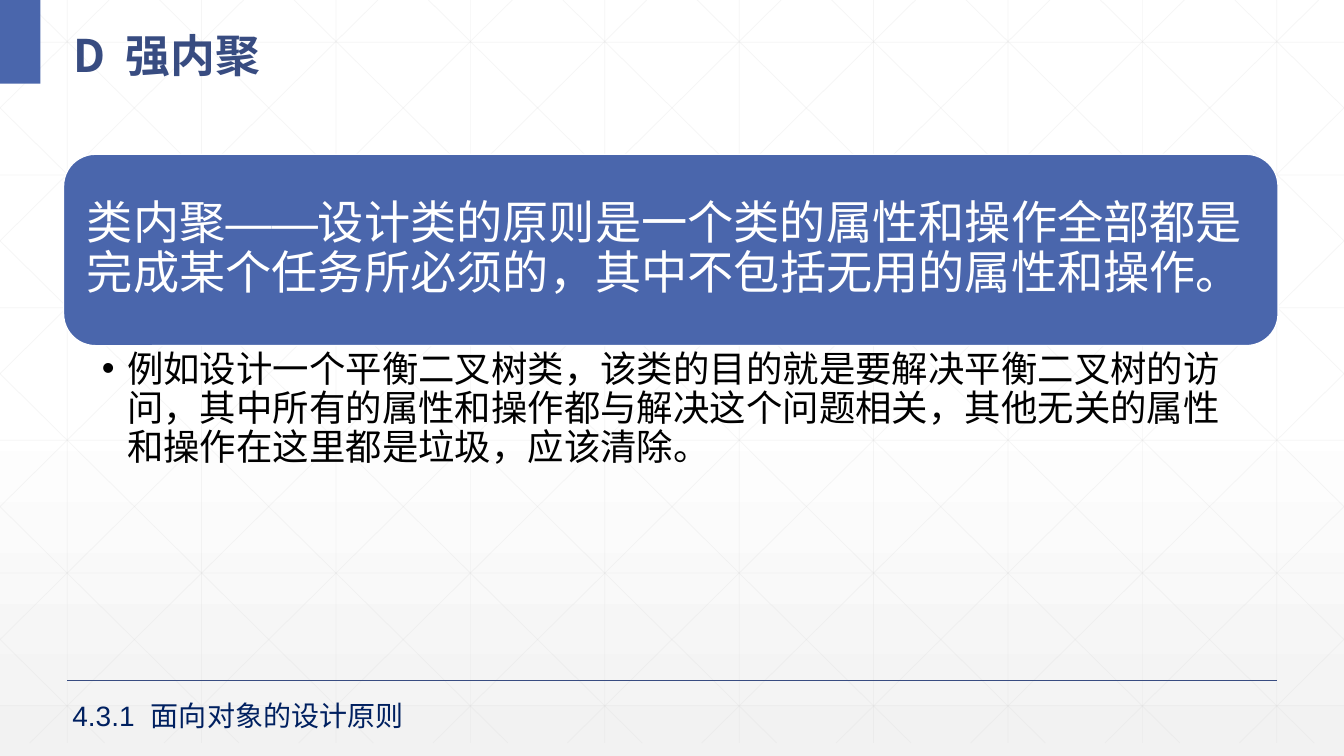
from lxml.etree import SubElement
from pptx import Presentation
from pptx.dml.color import RGBColor
from pptx.enum.shapes import MSO_CONNECTOR, MSO_SHAPE
from pptx.enum.text import MSO_ANCHOR, MSO_AUTO_SIZE, PP_ALIGN
from pptx.oxml.ns import qn
from pptx.util import Inches, Pt

COLORS = {
    "white": "FFFFFF", "mist": "F2F2F2", "mesh": "D9D9D9", "blue": "4A66AC",
    "navy": "384C81", "ink": "002060", "black": "000000",
}
LATIN, HAN = "Arial", "Noto Sans CJK SC"
WIDE, HIGH = 13.33, 7.5
# Mesh measures, in columns and rows of a 100 by 100 grid
STEP, LEAN, FLOOR = 10, 55.9, 98.27


def rgb(name):
    return RGBColor.from_string(COLORS[name])


class Page:
    """Style and current slide; lengths are columns and rows of a 100 by 100 grid."""

    def __init__(self, slide):
        self.slide = slide
        self.shapes = slide.shapes

    def box(self, x, y, w, h):
        """Turn grid units into slide lengths."""
        return (Inches(x * WIDE / 100), Inches(y * HIGH / 100),
                Inches(w * WIDE / 100), Inches(h * HIGH / 100))

    def back(self):
        fill = self.slide.background.fill
        fill.gradient()
        fill.gradient_angle = 270
        for stop, (pos, name) in zip(fill.gradient_stops, [(0.53, "white"), (1, "mist")]):
            stop.position = pos
            stop.color.rgb = rgb(name)

    def line(self, x1, y1, x2, y2, color, width, alpha=None):
        link = self.shapes.add_connector(
            MSO_CONNECTOR.STRAIGHT, *self.box(x1, y1, x2, y2))
        link.line.color.rgb = rgb(color)
        link.line.width = Pt(width)
        props = link.element.spPr
        SubElement(props, qn("a:effectLst"))
        if alpha:
            tint = props.find(".//" + qn("a:srgbClr"))
            SubElement(tint, qn("a:alpha")).set("val", str(alpha * 1000))

    def mesh(self):
        def thin(*ends):
            self.line(*ends, "mesh", 0.5, alpha=25)

        for i in range(10):
            thin(5 + STEP * i, 0, 5 + STEP * i, FLOOR)
        for i in range(6):
            thin(0, 5.6 + 17.55 * i, 100, 5.6 + 17.55 * i)
        for i in range(-5, 10):
            top = 1.88 + STEP * i
            left, right = max(top, 0), min(top + LEAN, 100)
            start, stop = [(x - top) * FLOOR / LEAN for x in (left, right)]
            thin(left, start, right, stop)
            thin(100 - left, start, 100 - right, stop)

    def block(self, kind, area, color, edge=None):
        shape = self.shapes.add_shape(kind, *self.box(*area))
        shape.shadow.inherit = False
        shape.fill.solid()
        shape.fill.fore_color.rgb = rgb(color)
        if edge:
            shape.line.color.rgb = rgb(edge)
            shape.line.width = Pt(1)
        else:
            shape.line.fill.background()
        return shape

    def place(self, holder, area):
        """Move a placeholder and bring it to the front."""
        holder.left, holder.top, holder.width, holder.height = self.box(*area)
        holder.element.getparent().append(holder.element)
        return holder

    def note(self, area):
        return self.shapes.add_textbox(*self.box(*area))

    def label(self, shape, parts, size, color, font=LATIN, bold=False, space=1.0,
              anchor=MSO_ANCHOR.TOP, inset=(0.1, 0.05, 0.1, 0.05), bullet=False):
        """Fill a shape with runs; each part is a text and its letter spacing."""
        frame = shape.text_frame
        frame.word_wrap = True
        frame.auto_size = MSO_AUTO_SIZE.NONE
        frame.vertical_anchor = anchor
        (frame.margin_left, frame.margin_top,
         frame.margin_right, frame.margin_bottom) = map(Inches, inset)
        para = frame.paragraphs[0]
        para.alignment = PP_ALIGN.LEFT
        para.line_spacing = space
        para.space_before = Pt(0)
        if bullet:
            props = para._p.get_or_add_pPr()
            props.set("marL", str(Inches(0.25)))
            props.set("indent", str(-Inches(0.25)))
            SubElement(props, qn("a:buChar")).set("char", "•")
        for text, gap in parts:
            run = para.add_run()
            run.text = text
            run.font.size = Pt(size)
            run.font.bold = bold
            run.font.color.rgb = rgb(color)
            run.font.name = font
            props = run._r.get_or_add_rPr()
            SubElement(props, qn("a:ea")).set("typeface", font)
            if gap:
                props.set("spc", str(gap * 100))


def main():
    deck = Presentation()
    deck.slide_width, deck.slide_height = Inches(WIDE), Inches(HIGH)
    page = Page(deck.slides.add_slide(deck.slide_layouts[1]))
    title, body = page.slide.placeholders
    page.back()
    page.mesh()
    page.line(5, 90, 95, 90, "navy", 1)
    page.block(MSO_SHAPE.RECTANGLE, (0, 0, 3, 11.07), "blue")

    page.label(page.place(title, (4.73, 1.33, 93.15, 9.73)),
               [("D", 0), (" ", 7), ("强内聚", 0)], 32, "navy", font=HAN,
               bold=True, space=1.3, anchor=MSO_ANCHOR.MIDDLE)

    rule = page.block(MSO_SHAPE.ROUNDED_RECTANGLE, (4.73, 20.4, 90.37, 25.33),
                      "blue", edge="white")
    page.label(rule, [("类内聚——设计类的原则是一个类的属性和操作全部都是完成某个任务所必须的，"
                       "其中不包括无用的属性和操作。", 0)], 33, "white", space=0.9,
               anchor=MSO_ANCHOR.MIDDLE, inset=(0.14,) * 4)

    page.label(page.place(body, (4.73, 45.73, 90.37, 23.87)),
               [("例如设计一个平衡二叉树类，该类的目的就是要解决平衡二叉树的访问，"
                 "其中所有的属性和操作都与解决这个问题相关，其他无关的属性和操作"
                 "在这里都是垃圾，应该清除。", 0)], 26, "black", space=0.9,
               inset=(0.38, 0.05, 0.26, 0.05), bullet=True)

    page.label(page.note((4.65, 91.73, 45.3, 5.87)),
               [("4.3.1", 0), (" ", 6), ("面向对象的设计原则", 0)], 20, "ink")
    deck.save("out.pptx")


if __name__ == "__main__":
    main()
